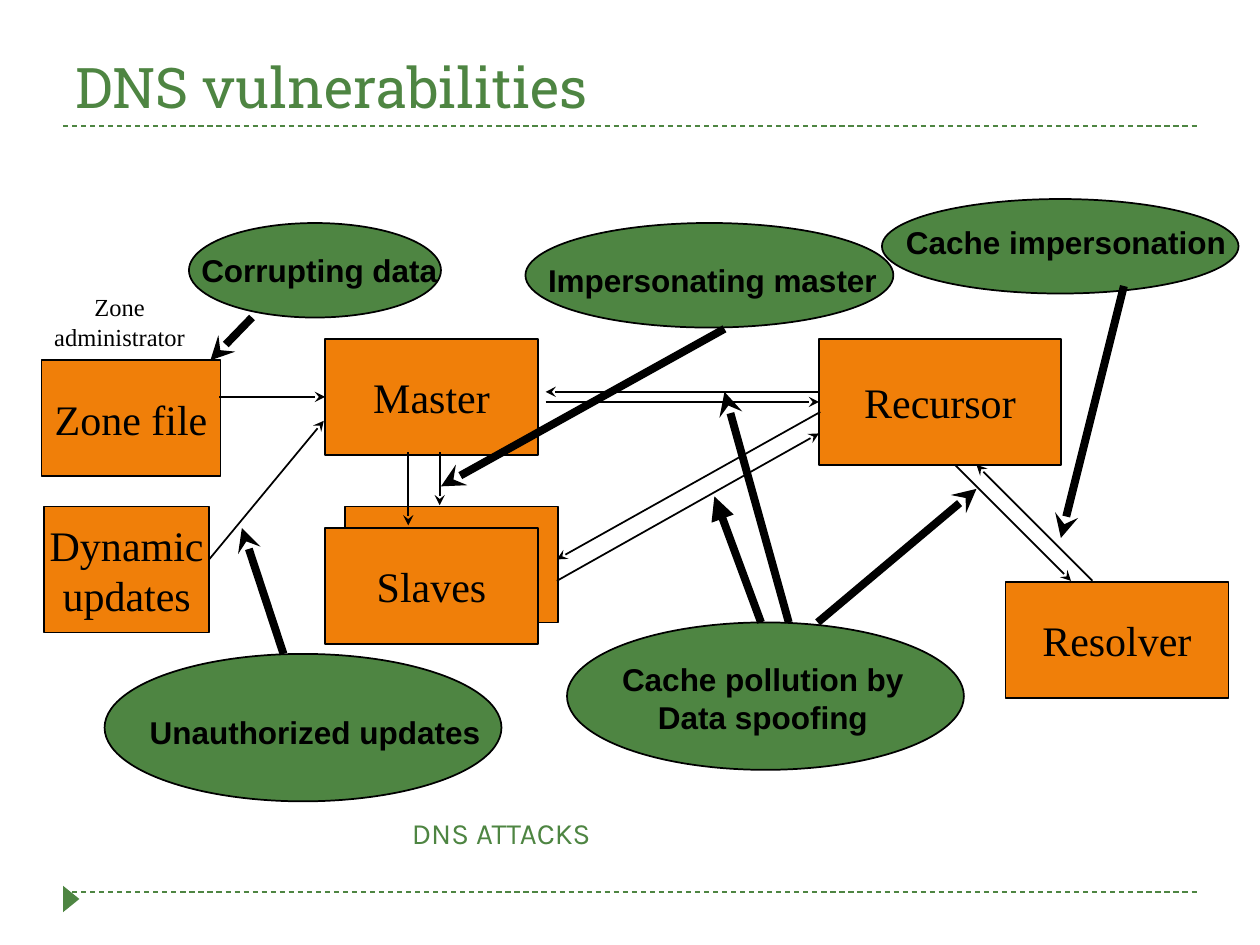
from lxml import etree
from pptx import Presentation
from pptx.dml.color import RGBColor
from pptx.enum.dml import MSO_LINE
from pptx.enum.shapes import MSO_CONNECTOR, MSO_SHAPE
from pptx.enum.text import MSO_ANCHOR, PP_ALIGN
from pptx.oxml.ns import qn
from pptx.util import Pt

SCALE = 9144
RECTANGLE, OVAL, TRIANGLE = MSO_SHAPE.RECTANGLE, MSO_SHAPE.OVAL, MSO_SHAPE.ISOSCELES_TRIANGLE
STRAIGHT, DASH = MSO_CONNECTOR.STRAIGHT, MSO_LINE.DASH
TOP, MIDDLE, BOTTOM = MSO_ANCHOR.TOP, MSO_ANCHOR.MIDDLE, MSO_ANCHOR.BOTTOM
LEFT, CENTER = PP_ALIGN.LEFT, PP_ALIGN.CENTER
LEFT_SIDE = 1

COLORS = {"green": "4E8542", "orange": "F07F09", "black": "000000"}
FORMATS = {
    "title": {"name": "Roboto Slab", "size": Pt(32), "color": "green"},
    "caption": {"name": "Karla", "size": Pt(16.8), "color": "green"},
    "server": {"name": "Times New Roman", "size": Pt(24), "color": "black"},
    "note": {"name": "Times New Roman", "size": Pt(14), "color": "black"},
    "attack": {"name": "Arial", "size": Pt(18), "bold": True, "color": "black"},
}

SERVERS = [
    ("Zone file", (0, 128, 142, 92)),
    ("", (241, 244, 169, 92)),
    ("Slaves", (225, 261, 169, 92)),
    ("Master", (225, 111, 169, 92)),
    ("Recursor", (617, 111, 192, 100)),
    ("Resolver", (765, 304, 177, 92)),
    ("Dynamic\nupdates", (2, 244, 131, 100)),
]
ATTACKS = [
    ("Corrupting data", (117, 19, 200, 75), (117, 36, 207, 40)),
    ("Unauthorized updates", (50, 361, 315, 117), (76, 403, 282, 40)),
    ("Impersonating master", (384, 19, 292, 83), (392, 44, 281, 40)),
    ("Cache pollution by\nData spoofing", (417, 336, 315, 117), (451, 361, 243, 70)),
    ("Cache impersonation", (667, 0, 283, 75), (676, 14, 274, 40)),
]
FLOWS = [
    ((616, 153), (400, 153), None),
    ((618, 169), (409, 286), None),
    ((409, 303), (617, 186), None),
    ((725, 211), (817, 303), None),
    ((834, 303), (742, 211), None),
    ((141, 157), (225, 157), "Master"),
    ((291, 201), (291, 259), None),
    ((316, 201), (316, 243), None),
    ((133, 286), (224, 176), None),
    ((400, 161), (617, 161), "Recursor"),
]
THREATS = [
    ((571, 336), (534, 236), "triangle"),
    ((192, 361), (159, 261), "stealth"),
    ((167, 94), (134, 128), "stealth"),
    ((542, 103), (317, 228), "stealth"),
    ((859, 69), (809, 269), "stealth"),
    ((593, 336), (542, 153), "stealth"),
    ((616, 336), (742, 230), "stealth"),
]


def px(*lengths):
    """Turn px lengths into EMU."""
    return [length * SCALE for length in lengths]


def rgb(color):
    """Look up a named colour."""
    return RGBColor.from_string(COLORS[color])


def inside(box, part):
    """Move a part's position into the given box."""
    return (box[0] + part[0], box[1] + part[1], *part[2:])


def write(shape, text, style, align=CENTER, anchor=TOP, wrap=False, spacing=None):
    """Write formatted lines of text into a shape."""
    frame = shape.text_frame
    frame.word_wrap, frame.vertical_anchor = wrap, anchor
    frame.text = text
    for para in frame.paragraphs:
        para.alignment = align
        para.line_spacing = spacing
        for span in para.runs:
            for key, value in FORMATS[style].items():
                if key == "color":
                    span.font.color.rgb = rgb(value)
                else:
                    setattr(span.font, key, value)


def add_block(page, kind, box, fill, outlined=True):
    """Add a filled shape with a thin black outline or none."""
    shape = page.shapes.add_shape(kind, *px(*box))
    shape.shadow.inherit = False
    shape.fill.solid()
    shape.fill.fore_color.rgb = rgb(fill)
    if outlined:
        shape.line.color.rgb = rgb("black")
        shape.line.width = Pt(1)
    else:
        shape.line.fill.background()
    return shape


def add_label(page, box, text, style):
    """Add a centred label whose lines use the full box width."""
    label = page.shapes.add_textbox(*px(*box))
    write(label, text, style)
    label.text_frame.margin_left = label.text_frame.margin_right = 0


def add_line(page, start, end, color="black", width=1, dash=None, head=None):
    """Add a straight line, dashed or with an arrowhead if asked."""
    line = page.shapes.add_connector(STRAIGHT, *px(*start, *end))
    line.line.color.rgb = rgb(color)
    line.line.width = Pt(width)
    if dash:
        line.line.dash_style = dash
    if head:
        etree.SubElement(line.line._get_or_add_ln(), qn("a:tailEnd"), type=head)
    etree.SubElement(line._element.spPr, qn("a:effectLst"))
    return line


def add_header(page, box):
    """Place the title above its dashed rule."""
    left, top, width, height = box
    base = top + height
    add_line(page, (left, base), (left + width, base), "green", 0.75, DASH)
    title = page.shapes.add_textbox(*px(*box))
    write(title, "DNS vulnerabilities", "title", LEFT, BOTTOM, True)


def add_diagram(page, box):
    """Place servers, attacks and the arrows between them."""
    for _, oval, _ in ATTACKS:
        add_block(page, OVAL, inside(box, oval), "green")
    servers = {}
    for name, place in SERVERS:
        servers[name] = add_block(page, RECTANGLE, inside(box, place), "orange")
        if name:
            write(servers[name], name, "server", anchor=MIDDLE)
    add_label(page, inside(box, (0, 69, 124, 57)), "Zone\nadministrator", "note")
    for start, end, target in FLOWS:
        flow = add_line(page, inside(box, start), inside(box, end), head="stealth")
        if target:
            flow.end_connect(servers[target], LEFT_SIDE)
    for text, _, place in ATTACKS:
        add_label(page, inside(box, place), text, "attack")
    for start, end, head in THREATS:
        add_line(page, inside(box, start), inside(box, end), width=4.5, head=head)


def add_footer(page, box):
    """Place the caption, the dashed rule and its marker."""
    left, top, width, height = box
    base = top + height
    add_line(page, (left, base), (left + width, base), "green", 0.75, DASH)
    marker = add_block(page, TRIANGLE, (left - 4, base - 1, 21, 13), "green", False)
    marker.rotation = 90
    caption = page.shapes.add_textbox(*px(left + 267, top, 383, 40))
    write(caption, "DNS ATTACKS", "caption", LEFT, wrap=True, spacing=0.8)


def main():
    """Build the slide and save it."""
    deck = Presentation()
    deck.slide_width, deck.slide_height = px(1000, 750)
    page = deck.slides.add_slide(deck.slide_layouts[6])
    add_header(page, (50, 0, 900, 100))
    add_diagram(page, (33, 158, 950, 478))
    add_footer(page, (50, 647, 900, 61))
    deck.save("out.pptx")


if __name__ == "__main__":
    main()
